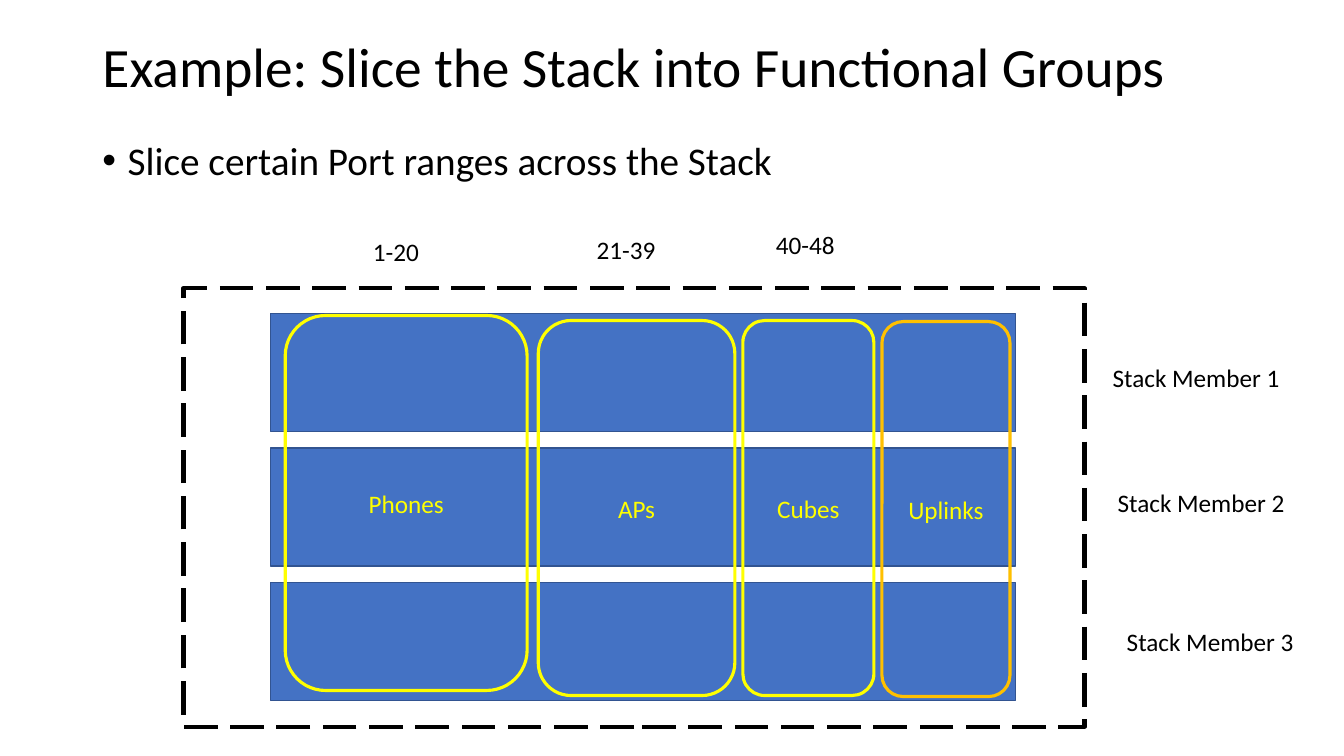
from copy import deepcopy
from dataclasses import dataclass

from pptx import Presentation
from pptx.dml.color import RGBColor
from pptx.enum.dml import MSO_LINE
from pptx.enum.shapes import MSO_SHAPE as Shape
from pptx.enum.text import MSO_ANCHOR as Anchor, MSO_AUTO_SIZE as AutoSize, PP_ALIGN as Align
from pptx.util import Inches, Pt

COLUMNS, ROWS = 80, 45
UNIT = Inches(7.5) / ROWS


@dataclass(frozen=True)
class Theme:
    font: str = "Calibri"
    ink: str = "000000"
    member: str = "4472C4"
    member_edge: str = "325491"
    group: str = "FFFF00"
    uplink: str = "FFC000"
    title_size: float = 39.6
    body_size: float = 28
    label_size: float = 18


THEME = Theme()

MEMBER_COUNT = 3
MEMBER_LEFT, MEMBER_TOP = 16.1, 18.66
MEMBER_WIDTH, MEMBER_HEIGHT, MEMBER_PITCH = 44.34, 7.02, 8.01
GROUP_HEIGHT = 22.32

GROUPS = [
    ("Phones", 16.98, 18.78, 14.4, THEME.group),
    ("APs", 32.04, 19.08, 11.7, THEME.group),
    ("Cubes", 44.22, 19.08, 7.8, THEME.group),
    ("Uplinks", 52.5, 19.14, 7.62, THEME.uplink),
]
PORT_RANGES = [("1-20", 21.6, 13.8), ("21-39", 34.92, 13.68), ("40-48", 45.6, 13.38)]
MEMBER_LABELS = [(65.64, 21.3), (65.94, 28.74), (66.48, 36.96)]


def on_grid(*cells):
    return [round(cell * UNIT) for cell in cells]


def apply(target, formats):
    for attribute, setting in formats.items():
        setattr(target, attribute, setting)


def write(paragraph, text, size, color, **formats):
    run = paragraph.add_run()
    run.text = text
    apply(run.font, {"name": THEME.font, "size": Pt(size)})
    run.font.color.rgb = RGBColor.from_string(color)
    apply(paragraph, formats)
    return run


def move(placeholder, left, top, width, height):
    edges = on_grid(left, top, width, height)
    apply(placeholder, dict(zip(("left", "top", "width", "height"), edges)))


def add_title(slide, text):
    title = slide.shapes.title
    move(title, 5.5, 1.75, 69, 8.7)
    apply(title.text_frame, {"vertical_anchor": Anchor.MIDDLE, "auto_size": AutoSize.NONE})
    line = title.text_frame.paragraphs[0]
    run = write(line, text, THEME.title_size, THEME.ink, alignment=Align.LEFT, line_spacing=0.9)
    line.add_line_break()
    line._p[-1].append(deepcopy(run._r.rPr))


def add_point(slide, text):
    body = slide.placeholders[1]
    move(body, 5.5, 8.1, 69, 32.2)
    body.text_frame.auto_size = AutoSize.NONE
    point = body.text_frame.paragraphs[0]
    write(point, text, THEME.body_size, THEME.ink, line_spacing=0.9, space_before=Pt(10))
    indents = {"marL": Inches(0.25), "indent": -Inches(0.25)}
    for attribute, length in indents.items():
        point._p.get_or_add_pPr().set(attribute, str(length))


def add_box(slide, kind, cells, edge, weight, fill=None, dash=None):
    box = slide.shapes.add_shape(kind, *on_grid(*cells))
    box.shadow.inherit = False
    if fill:
        box.fill.solid()
        box.fill.fore_color.rgb = RGBColor.from_string(fill)
    else:
        box.fill.background()
    box.line.color.rgb = RGBColor.from_string(edge)
    apply(box.line, {"width": Pt(weight), "dash_style": dash})
    return box


def add_group(slide, name, left, top, width, edge):
    group = add_box(slide, Shape.ROUNDED_RECTANGLE, (left, top, width, GROUP_HEIGHT), edge, 2.25)
    group.text_frame.vertical_anchor = Anchor.MIDDLE
    write(group.text_frame.paragraphs[0], name, THEME.label_size, THEME.group,
          alignment=Align.CENTER)


def add_label(slide, text, left, top, width):
    label = slide.shapes.add_textbox(*on_grid(left, top, width, 2.4)).text_frame
    apply(label, {"word_wrap": False, "auto_size": AutoSize.SHAPE_TO_FIT_TEXT})
    write(label.paragraphs[0], text, THEME.label_size, THEME.ink)


def main():
    deck = Presentation()
    width, height = on_grid(COLUMNS, ROWS)
    apply(deck, {"slide_width": width, "slide_height": height})
    slide = deck.slides.add_slide(deck.slide_layouts[1])

    add_title(slide, "Example: Slice the Stack into Functional Groups")
    add_point(slide, "Slice certain Port ranges across the Stack")

    for member in range(MEMBER_COUNT):
        top = MEMBER_TOP + member * MEMBER_PITCH
        add_box(slide, Shape.RECTANGLE, (MEMBER_LEFT, top, MEMBER_WIDTH, MEMBER_HEIGHT),
                THEME.member_edge, 1, fill=THEME.member)
    add_box(slide, Shape.RECTANGLE, (10.92, 17.16, 53.64, 26.1), THEME.ink, 3,
            dash=MSO_LINE.LONG_DASH)

    for group in GROUPS:
        add_group(slide, *group)
    for ports, left, top in PORT_RANGES:
        add_label(slide, ports, left, top, 5.1)
    for number, (left, top) in enumerate(MEMBER_LABELS, start=1):
        add_label(slide, f"Stack Member {number}", left, top, 11.22)

    deck.save("out.pptx")


if __name__ == "__main__":
    main()
